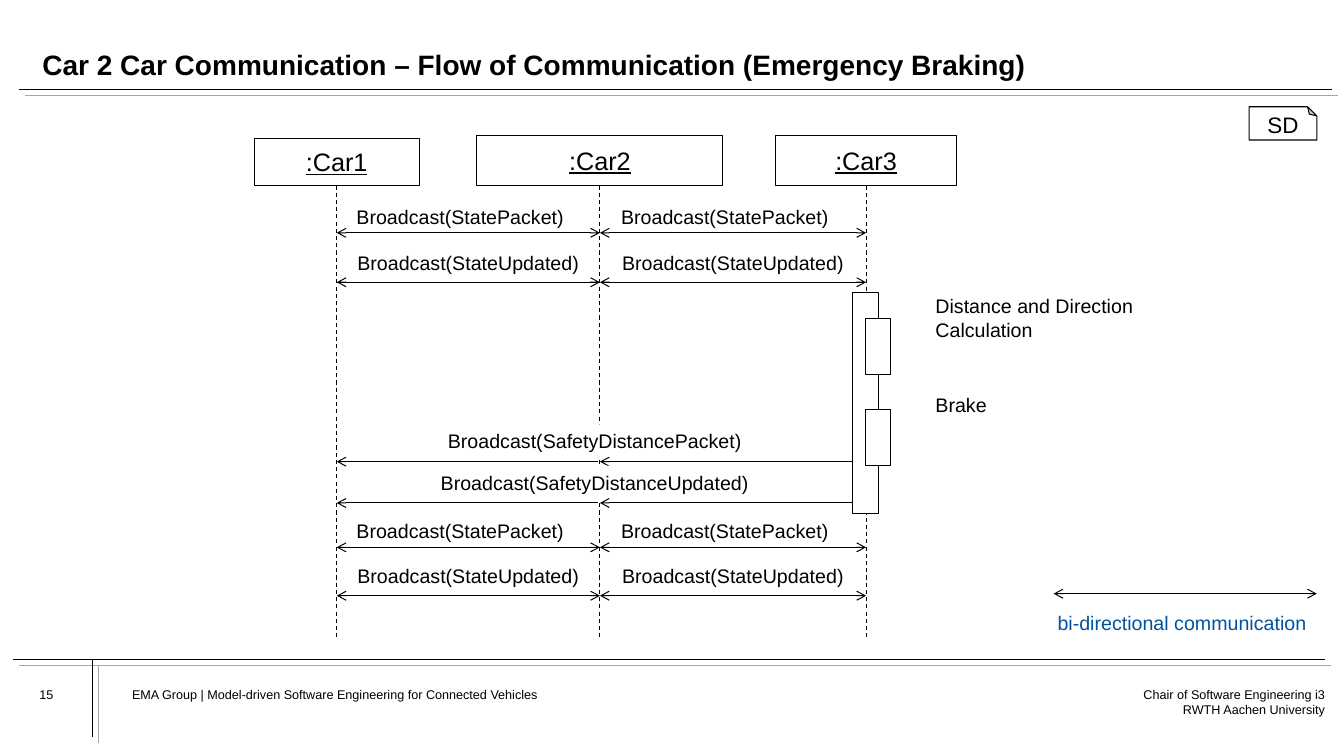
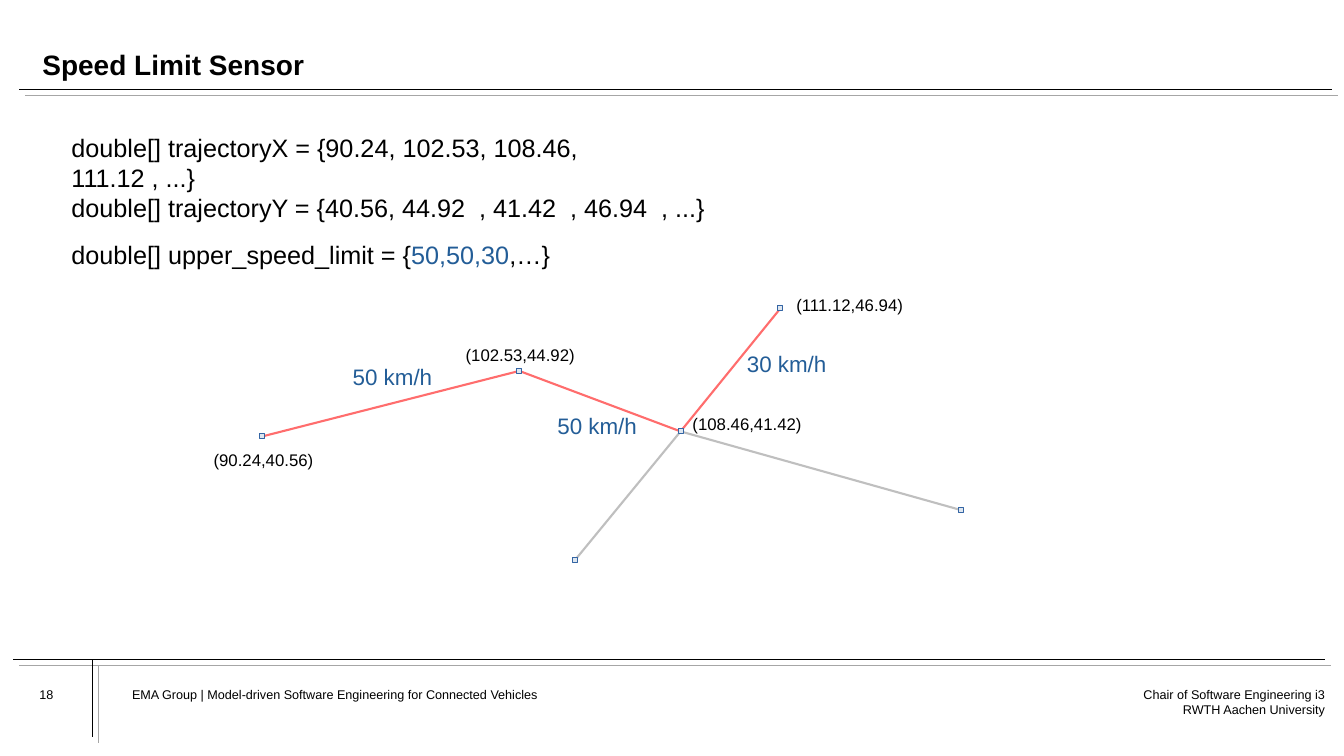
from dataclasses import dataclass

from pptx import Presentation
from pptx.dml.color import RGBColor
from pptx.enum.dml import MSO_LINE
from pptx.enum.shapes import MSO_CONNECTOR, MSO_SHAPE
from pptx.enum.text import MSO_ANCHOR, PP_ALIGN
from pptx.oxml.ns import qn
from pptx.util import Inches, Pt
from lxml.etree import SubElement


@dataclass(frozen=True)
class Theme:
    font: str = "Arial"
    black: str = "000000"
    white: str = "FFFFFF"
    rule_shade: str = "A6A6A6"
    legend: str = "00549F"
    speed: str = "235D97"
    route: str = "FF6D6D"
    side_road: str = "BFBFBF"
    node_fill: str = "DEE6EF"
    node_line: str = "3465A4"
    title_size: int = 20
    body_size: int = 18
    note_size: int = 16
    label_size: int = 14
    point_size: int = 12
    footer_size: int = 9
    rule_width: float = 0.5
    thin: float = 0.75
    road_width: float = 1.5


THEME = Theme()
WIDTH, HEIGHT = 13.33, 7.5
LINE_BREAK = "\v"

FOOTER = "EMA Group | Model-driven Software Engineering for Connected Vehicles"
CHAIR = ["Chair of Software Engineering i3", "RWTH Aachen University"]
RULES = [  # start, end
    ((0.19, 0.89), (13.21, 0.89)),
    ((0.13, 6.54), (13.14, 6.54)),
    ((0.92, 6.54), (0.92, 7.31)),
]
RULE_OFFSET = 0.06

# Sequence diagram
CARS = [  # name, lifeline x, header width, header height
    (":Car1", 3.34, 1.64, 0.47),
    (":Car2", 5.95, 2.44, 0.5),
    (":Car3", 8.59, 1.79, 0.5),
]
HEADER_BOTTOM, LIFELINE_BOTTOM = 1.84, 6.35
STATE_PACKET = ("Broadcast(StatePacket)", -0.08, 0.33)  # text, shift, lift
STATE_UPDATED = ("Broadcast(StateUpdated)", 0, 0.36)
EXCHANGES = [(2.31, STATE_PACKET), (2.8, STATE_UPDATED),
             (5.43, STATE_PACKET), (5.91, STATE_UPDATED)]
WARNINGS = [(4.58, "Broadcast(SafetyDistancePacket)", 3.13),
            (4.99, "Broadcast(SafetyDistanceUpdated)", 3.27)]
ACTIVATION = (8.46, 2.9, 0.25, 2.19)
SELF_CALLS = [  # top of the loop, text top, lines
    (3.01, 2.87, ["Distance and Direction", "Calculation"]),
    (3.91, 3.85, ["Brake"]),
]
LOOP_START = (8.75, 0.06)
LOOP_CURVES = [
    ((8.82, 0.06), (9.11, 0), (9.18, 0.05)),
    ((9.26, 0.1), (9.24, 0.33), (9.18, 0.38)),
    ((9.12, 0.44), (8.97, 0.41), (8.82, 0.38)),
]

# Road map
TRAJECTORY = [
    [("double[] trajectoryX = {90.24, 102.53, 108.46, ", {}), (LINE_BREAK, {}),
     ("111.12 , ...}", {})],
    "double[] trajectoryY = {40.56, 44.92  , 41.42  , 46.94  , ...}",
]
SPEED_LIMITS = [[("double[] upper_speed_limit = {", {}),
                 ("50,50,30", {"color": THEME.speed}), (",…}", {})]]
NODES = {"start": (2.6, 4.33), "bend": (5.15, 3.68), "crossing": (6.75, 4.28),
         "goal": (7.74, 3.06), "east": (9.53, 5.06), "south": (5.7, 5.56)}
ROADS = [
    ("start", "bend", THEME.route), ("bend", "crossing", THEME.route),
    ("crossing", "goal", THEME.route), ("crossing", "east", THEME.side_road),
    ("crossing", "south", THEME.side_road),
]
POINT_LABELS = [("(90.24,40.56)", 2.02, 4.41), ("(102.53,44.92)", 4.52, 3.37),
                ("(108.46,41.42)", 6.77, 4.06), ("(111.12,46.94)", 7.8, 2.87)]
SPEED_LABELS = [("50 km/h", 3.4, 3.55), ("30 km/h", 7.31, 3.42),
                ("50 km/h", 5.43, 4.04)]
NODE_SIZE = 0.05


def rgb(color):
    return RGBColor.from_string(color)


def inches(*lengths):
    return [Inches(length) for length in lengths]


def write(shape, paragraphs, size=THEME.label_size, color=THEME.black,
          bold=False, underline=False, align=PP_ALIGN.LEFT,
          anchor=MSO_ANCHOR.TOP, margins=(0.1, 0.05), spacing=None):
    """Fill a shape; a paragraph is a string or a list of (text, format)."""
    frame = shape.text_frame
    frame.word_wrap = True
    frame.vertical_anchor = anchor
    frame.margin_left = frame.margin_right = Inches(margins[0])
    frame.margin_top = frame.margin_bottom = Inches(margins[1])
    for index, content in enumerate(paragraphs):
        paragraph = frame.add_paragraph() if index else frame.paragraphs[0]
        paragraph.alignment = align
        if spacing:
            paragraph.line_spacing = spacing
        runs = [(content, {})] if isinstance(content, str) else content
        for text, style in runs:
            if text == LINE_BREAK:
                paragraph.add_line_break()
                continue
            run = paragraph.add_run()
            run.text = text
            font = run.font
            font.name, font.size = THEME.font, Pt(size)
            font.bold, font.underline = bold, underline
            font.color.rgb = rgb(style.get("color", color))
    return shape


def add_text(slide, box, paragraphs, **style):
    return write(slide.shapes.add_textbox(*inches(*box)), paragraphs, **style)


def add_box(slide, box, kind=MSO_SHAPE.RECTANGLE, fill=THEME.white,
            line=THEME.black, width=THEME.thin):
    shape = slide.shapes.add_shape(kind, *inches(*box))
    shape.shadow.inherit = False
    shape.fill.solid()
    shape.fill.fore_color.rgb = rgb(fill)
    shape.line.color.rgb = rgb(line)
    shape.line.width = Pt(width)
    return shape


def add_arrowheads(shape, *ends):
    outline = shape.line._get_or_add_ln()
    for end in ends:
        SubElement(outline, qn(f"a:{end}"), type="arrow")


def add_line(slide, start, end, color=THEME.black, width=THEME.thin,
             dashed=False, arrows=()):
    line = slide.shapes.add_connector(MSO_CONNECTOR.STRAIGHT,
                                      *inches(*start, *end))
    line.line.color.rgb = rgb(color)
    line.line.width = Pt(width)
    if dashed:
        line.line.dash_style = MSO_LINE.DASH
    add_arrowheads(line, *arrows)
    SubElement(line._element.spPr, qn("a:effectLst"))
    return line


def curve_points(start, curves, steps=12):
    """Sample a chain of cubic curves, each (control, control, end)."""
    points = []
    for first, second, end in curves:
        for step in range(1, steps + 1):
            t = step / steps
            u = 1 - t
            points.append(tuple(
                u**3 * a + 3 * u * u * t * b + 3 * u * t * t * c + t**3 * d
                for a, b, c, d in zip(start, first, second, end)))
        start = end
    return points


def add_self_call(slide, top):
    builder = slide.shapes.build_freeform(
        LOOP_START[0], top + LOOP_START[1], scale=Inches(1))
    points = curve_points(LOOP_START, LOOP_CURVES)
    builder.add_line_segments([(x, top + y) for x, y in points], close=False)
    loop = builder.convert_to_shape()
    loop.shadow.inherit = False
    loop.fill.background()
    loop.line.color.rgb = rgb(THEME.black)
    loop.line.width = Pt(THEME.thin)
    add_arrowheads(loop, "tailEnd")


def add_framed_slide(presentation, title, number):
    slide = presentation.slides.add_slide(presentation.slide_layouts[6])
    for start, end in RULES:
        for offset, color in ((0, THEME.black), (RULE_OFFSET, THEME.rule_shade)):
            add_line(slide, [value + offset for value in start],
                     [value + offset for value in end], color, THEME.rule_width)
    footer = {"size": THEME.footer_size, "margins": (0, 0)}
    add_text(slide, (0.39, 6.81, 0.5, 0.43), [str(number)], **footer)
    add_text(slide, (1.31, 6.81, 7.66, 0.43), [FOOTER], **footer)
    add_text(slide, (10.99, 6.81, 2.15, 0.43), CHAIR,
             align=PP_ALIGN.RIGHT, **footer)
    add_text(slide, (0.42, 0.22, 12.56, 0.59), [title], size=THEME.title_size,
             bold=True, anchor=MSO_ANCHOR.BOTTOM, margins=(0, 0), spacing=0.9)
    return slide


def add_diagram_badge(slide):
    badge = add_box(slide, (12.39, 1.06, 0.67, 0.33), MSO_SHAPE.FOLDED_CORNER)
    write(badge, ["SD"], size=THEME.note_size, align=PP_ALIGN.CENTER,
          anchor=MSO_ANCHOR.MIDDLE, spacing=0.7)
    properties = badge._element.spPr
    geometry = properties.find(qn("a:prstGeom"))
    guides = geometry.find(qn("a:avLst"))
    if guides is None:
        guides = SubElement(geometry, qn("a:avLst"))
    SubElement(guides, qn("a:gd"), name="adj", fmla="val 27600")
    # The flip puts the fold on top; the half turn keeps the text upright.
    properties.find(qn("a:xfrm")).set("flipV", "1")
    badge.text_frame._txBody.bodyPr.set("rot", "10800000")


def build_sequence_slide(presentation):
    slide = add_framed_slide(
        presentation,
        "Car 2 Car Communication – Flow of Communication (Emergency Braking)", 15)
    add_diagram_badge(slide)
    label = {"align": PP_ALIGN.CENTER, "margins": (0, 0.05)}
    lifelines = [car[1] for car in CARS]
    spans = list(zip(lifelines, lifelines[1:]))

    for name, x, width, height in CARS:
        add_line(slide, (x, HEADER_BOTTOM), (x, LIFELINE_BOTTOM), dashed=True)
        header = add_box(slide, (x - width / 2, HEADER_BOTTOM - height,
                                 width, height))
        write(header, [name], size=THEME.body_size, underline=True,
              align=PP_ALIGN.CENTER, anchor=MSO_ANCHOR.MIDDLE)

    for y, (text, shift, lift) in EXCHANGES:
        for left, right in spans:
            add_line(slide, (left, y), (right, y), arrows=("headEnd", "tailEnd"))
            center = (left + right) / 2 + shift
            add_text(slide, (center - 1.2, y - lift, 2.4, 0.34), [text], **label)

    for y, text, width in WARNINGS:
        plate = add_text(slide, (5.9 - width / 2, y - 0.37, width, 0.34),
                         [text], **label)
        plate.fill.solid()
        plate.fill.fore_color.rgb = rgb(THEME.white)
        for left, right in spans:
            start = min(right - 0.02, ACTIVATION[0])
            add_line(slide, (start, y), (left, y), arrows=("tailEnd",))

    add_box(slide, ACTIVATION)
    for top, text_top, lines in SELF_CALLS:
        add_box(slide, (8.58, top + 0.15, 0.25, 0.56))
        add_self_call(slide, top)
        add_text(slide, (9.18, text_top, 2.4, 0.34 * len(lines)), lines)

    add_line(slide, (10.45, 5.89), (13.06, 5.89), arrows=("headEnd", "tailEnd"))
    add_text(slide, (10.39, 6.01, 2.85, 0.34), ["bi-directional communication"],
             color=THEME.legend)


def build_speed_slide(presentation):
    slide = add_framed_slide(presentation, "Speed Limit Sensor", 18)
    for top, height, code in ((1.26, 0.96, TRAJECTORY), (2.32, 0.39, SPEED_LIMITS)):
        add_text(slide, (0.61, top, 7, height), code, size=THEME.body_size)
    for start, end, color in ROADS:
        add_line(slide, NODES[start], NODES[end], color, THEME.road_width)
    for x, y in NODES.values():
        add_box(slide, (x - NODE_SIZE / 2, y - NODE_SIZE / 2, NODE_SIZE, NODE_SIZE),
                fill=THEME.node_fill, line=THEME.node_line, width=0)
    for labels, size, color in ((POINT_LABELS, THEME.point_size, THEME.black),
                                (SPEED_LABELS, THEME.note_size, THEME.speed)):
        for text, left, top in labels:
            add_text(slide, (left, top, 1.4, 0.37), [text], size=size, color=color)


def main():
    presentation = Presentation()
    presentation.slide_width, presentation.slide_height = inches(WIDTH, HEIGHT)
    build_sequence_slide(presentation)
    build_speed_slide(presentation)
    presentation.save("out.pptx")


if __name__ == "__main__":
    main()
